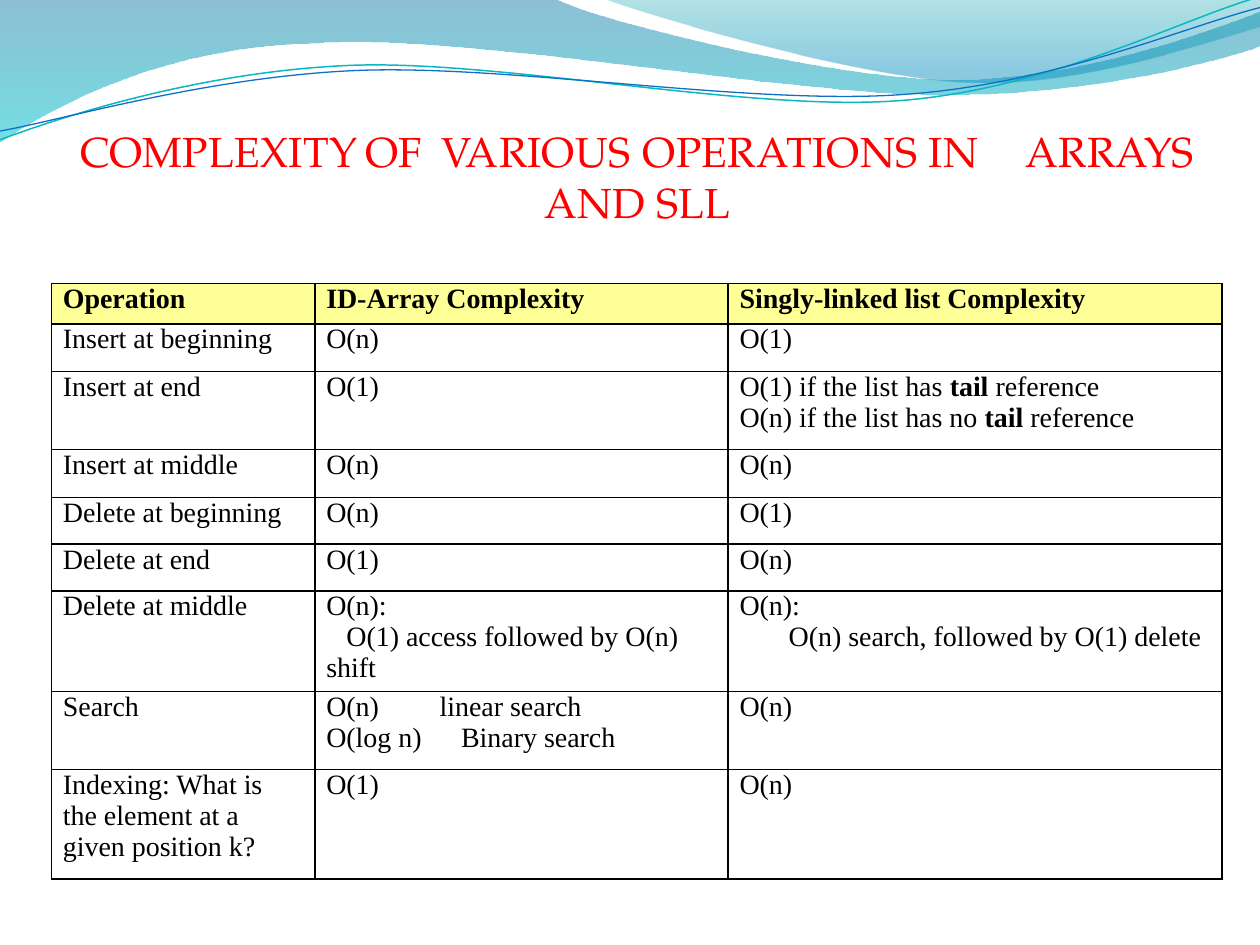
from collections import namedtuple

from pptx import Presentation
from pptx import util as u
from pptx.dml import color
from pptx.enum import text
from pptx.oxml import ns, xmlchemy

Box = namedtuple("Box", "left top width height")

COLORS = {
    "title": "FF0000", "ink": "000000", "header": "FFFF98",
    "deep": "0074A1", "cyan": "00C6CF", "teal": "00A1A9", "sky": "008BBF",
    "upper_line": "0AB8BF", "lower_line": "0F6FC6",
}

COLUMNS = [2.09, 3.28, 3.92]
ROWS = [0.32, 0.38, 0.62, 0.38, 0.37, 0.37, 0.78, 0.62, 0.87]
CELLS = [
    ["*Operation*", "*ID-Array Complexity*", "*Singly-linked list Complexity*"],
    ["Insert at beginning", "O(n)", "O(1)"],
    ["Insert at end", "O(1)", [("O(1) if the list has *tail *reference", {}),
                               ("O(n) if the list has no *tail *reference", {})]],
    ["Insert at middle", "O(n)", "O(n)"],
    ["Delete at beginning", "O(n)", "O(1)"],
    ["Delete at end", "O(1)", "O(n)"],
    ["Delete at middle",
     [("O(n):", {}), ("O(1) access followed by O(n) shift", {"indent": 0.16})],
     [("O(n):", {}), ("O(n) search, followed by O(1) delete", {"left": 0.39})]],
    ["Search", [("O(n)\tlinear search", {"tabs": [0.9]}),
                ("O(log n)\tBinary search", {"tabs": [1.07]})], "O(n)"],
    ["Indexing: What is the element at a given position k?", "O(1)", "O(n)"],
]

BAND = [
    [(0, 0)], [(4.4, -0.01)],
    [(4.76, 0.17), (6.64, 0.63), (7.58, 0.63)],
    [(8.53, 0.63), (9.58, 0.26), (10, 0.09)], [(10.01, 0.36)],
    [(9.83, 0.44), (8.7, 0.76), (7.46, 0.75)],
    [(6.22, 0.75), (3.82, 0.28), (2.57, 0.34)],
    [(1.29, 0.36), (0.46, 0.83), (-0.01, 1.13)],
]
CREST = [
    [(4.79, -0.01)],
    [(5.09, 0.11), (6.82, 0.62), (7.69, 0.65)],
    [(8.56, 0.69), (9.61, 0.32), (10, 0.21)], [(10, 0)],
]
UPPER_LINE = [
    [(0, 1.11)],
    [(0.48, 0.93), (1.58, 0.57), (2.77, 0.52)],
    [(3.95, 0.47), (5.93, 0.89), (7.13, 0.8)],
    [(8.33, 0.71), (9.38, 0.15), (9.98, -0.02)],
]
LOWER_LINE = [
    [(0, 1.04)],
    [(0.47, 0.96), (1.64, 0.61), (2.83, 0.56)],
    [(4.03, 0.51), (5.97, 0.84), (7.17, 0.75)],
    [(8.36, 0.67), (9.41, 0.21), (10, 0.06)],
]


def rgb(name):
    return color.RGBColor.from_string(COLORS[name])


def add_child(parent, tag, **attributes):
    child = xmlchemy.OxmlElement(tag)
    for name, value in attributes.items():
        child.set(name, str(value))
    parent.append(child)
    return child


def write_text(paragraph, content, font="Times New Roman", size=16, ink="ink",
               align=text.PP_ALIGN.LEFT, left=0, indent=0, tabs=(), spacing=0):
    paragraph.alignment = align
    properties = paragraph._p.get_or_add_pPr()
    for name, length in [("marL", left), ("indent", indent)]:
        if length:
            properties.set(name, str(u.Inches(length)))
    if tabs:
        stops = add_child(properties, "a:tabLst")
        for position in tabs:
            add_child(stops, "a:tab", pos=u.Inches(position), algn="l")
    for index, piece in enumerate(content.split("*")):
        if piece:
            run = paragraph.add_run()
            run.text = piece
            run.font.name = font
            run.font.size = u.Pt(size)
            run.font.bold = index % 2 == 1
            run.font.color.rgb = rgb(ink)
            if spacing:
                run.font._element.set("spc", str(round(spacing * 100)))


def bend(shape, segments):
    outline = next(shape._element.iter(ns.qn("a:path")))
    corners = iter(outline.findall(ns.qn("a:lnTo")))
    for segment in segments[1:]:
        legs = [next(corners) for _ in segment]
        if len(legs) == 3:
            curve = xmlchemy.OxmlElement("a:cubicBezTo")
            legs[0].addprevious(curve)
            for leg in legs:
                curve.append(leg[0])
                outline.remove(leg)


def add_wave(slide, box, segments, closed):
    unit = box.width / 10
    points = [(round(box.left + x * unit), round(box.top + y * unit))
              for segment in segments for x, y in segment]
    builder = slide.shapes.build_freeform(*points[0])
    builder.add_line_segments(points[1:], close=closed)
    shape = builder.convert_to_shape()
    shape.shadow.inherit = False
    bend(shape, segments)
    return shape


def add_waves(slide, box):
    for segments, stops in [
        (BAND, [("deep", 0, 45), ("cyan", 1, 55)]),
        (CREST, [("teal", 0, 30), ("sky", 0.8, 45)]),
    ]:
        shape = add_wave(slide, box, segments, True)
        shape.line.fill.background()
        shape.fill.gradient()
        shape.fill.gradient_angle = 270
        for stop, (name, position, opacity) in zip(shape.fill.gradient_stops, stops):
            stop.color.rgb = rgb(name)
            stop.position = position
            add_child(stop._gs.find(ns.qn("a:srgbClr")), "a:alpha", val=opacity * 1000)
    for segments, name, width in [(UPPER_LINE, "upper_line", 0.85),
                                  (LOWER_LINE, "lower_line", 0.75)]:
        shape = add_wave(slide, box, segments, False)
        shape.fill.background()
        shape.line.color.rgb = rgb(name)
        shape.line.width = u.Pt(width)


def add_title(slide, box):
    frame = slide.shapes.add_textbox(*box).text_frame
    frame.word_wrap = True
    frame.margin_left = frame.margin_right = frame.margin_top = frame.margin_bottom = 0
    write_text(frame.paragraphs[0],
               "COMPLEXITY\tOF\tVARIOUS\tOPERATIONS IN\tARRAYS AND SLL",
               font="TeX Gyre Pagella", size=24, ink="title", left=0.01,
               align=text.PP_ALIGN.CENTER, tabs=[2.26, 2.86, 4.46], spacing=0.2)


def add_borders(cell):
    properties = cell._tc.get_or_add_tcPr()
    for side in "LRTB":
        line = add_child(properties, f"a:ln{side}", w=u.Pt(1))
        add_child(add_child(line, "a:solidFill"), "a:srgbClr", val=COLORS["ink"])


def add_complexity_table(slide, box):
    table = slide.shapes.add_table(len(ROWS), len(COLUMNS), *box).table
    table.first_row = table.horz_banding = False
    for column, share in zip(table.columns, COLUMNS):
        column.width = round(box.width * share / sum(COLUMNS))
    for row, share in zip(table.rows, ROWS):
        row.height = round(box.height * share / sum(ROWS))
    for row_index, row in enumerate(CELLS):
        for column_index, content in enumerate(row):
            cell = table.cell(row_index, column_index)
            cell.margin_left = u.Inches(0.09)
            cell.margin_right = u.Inches(0 if column_index else 0.15)
            cell.margin_top = cell.margin_bottom = 0
            add_borders(cell)
            if row_index == 0:
                cell.fill.solid()
                cell.fill.fore_color.rgb = rgb("header")
            else:
                cell.fill.background()
            lines = [(content, {})] if isinstance(content, str) else content
            frame = cell.text_frame
            for index, (line, layout) in enumerate(lines):
                paragraph = frame.add_paragraph() if index else frame.paragraphs[0]
                write_text(paragraph, line, **layout)


def main():
    presentation = Presentation()
    presentation.slide_width, presentation.slide_height = u.Inches(10), u.Inches(7.5)
    slide = presentation.slides.add_slide(presentation.slide_layouts[6])

    def area(left, top, width, height):
        across, down = presentation.slide_width / 100, presentation.slide_height / 100
        return Box(round(left * across), round(top * down),
                   round(width * across), round(height * down))

    add_waves(slide, area(0, 0, 100, 15))
    add_title(slide, area(4.1, 13.33, 92.9, 10.8))
    add_complexity_table(slide, area(4.1, 30, 92.9, 62.8))
    presentation.save("out.pptx")


if __name__ == "__main__":
    main()
